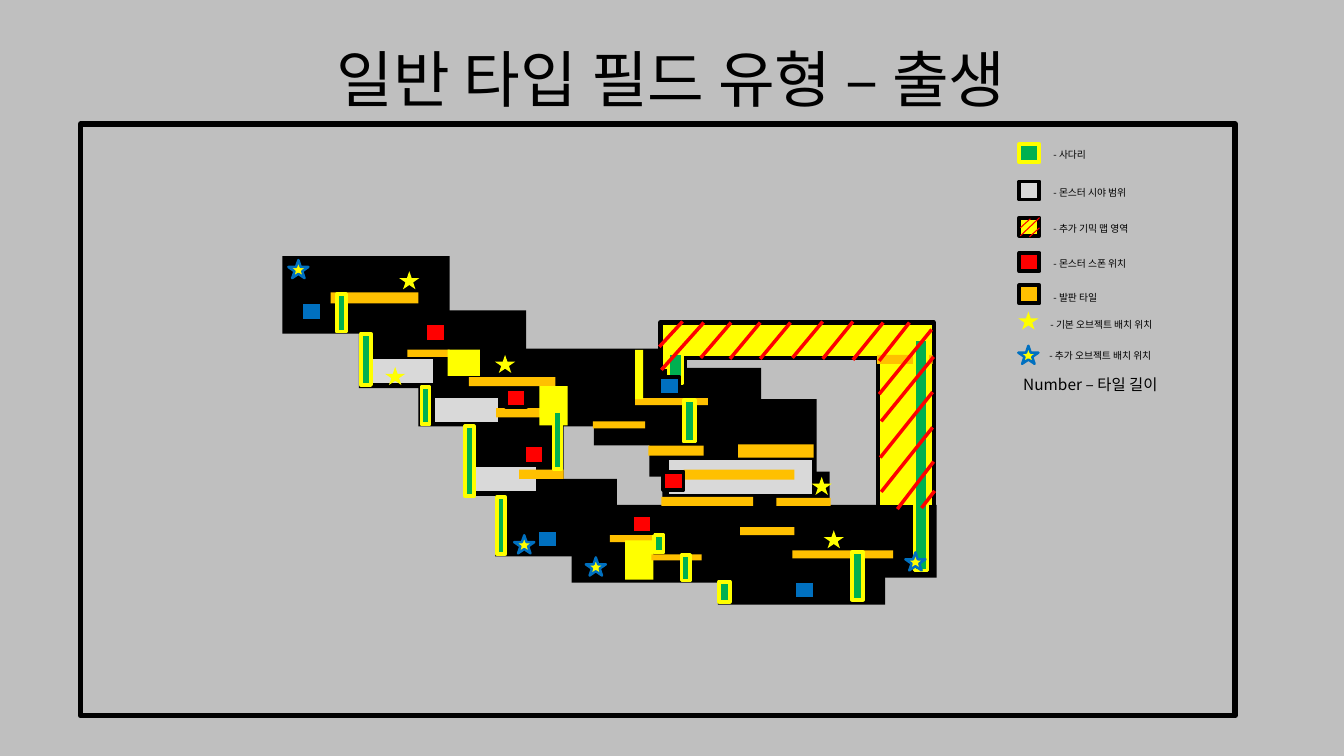
from lxml.etree import SubElement
from pptx import Presentation
from pptx.dml.color import RGBColor
from pptx.enum.shapes import MSO_CONNECTOR, MSO_SHAPE
from pptx.enum.text import MSO_ANCHOR, PP_ALIGN
from pptx.oxml.ns import qn
from pptx.util import Cm, Pt

FONT = "Noto Sans CJK KR"
COLORS = {
    "back": "BFBFBF", "black": "000000", "grey": "D9D9D9", "orange": "FFC000",
    "yellow": "FFFF00", "green": "00B050", "red": "FF0000", "blue": "0070C0",
}
RECT, STAR = MSO_SHAPE.RECTANGLE, MSO_SHAPE.STAR_5_POINT
STYLES = {
    "room": (RECT, "black", None, 0),
    "sight": (RECT, "grey", "black", 2.75),
    "frame": (RECT, None, "black", 4),
    "tile": (RECT, "orange", None, 0),
    "pad": (RECT, "yellow", None, 0),
    "ladder": (RECT, "green", "yellow", 2.75),
    "portal": (RECT, "blue", "black", 2.75),
    "spawn": (RECT, "red", "black", 2.75),
    "gimmick": (RECT, "yellow", "black", 2.75),
    "tile key": (RECT, "orange", "black", 2.75),
    "object": (STAR, "yellow", None, 0),
    "extra object": (STAR, "yellow", "blue", 1.75),
}
MARK = (0.2, 0.18)

TITLE = "일반 타입 필드 유형 – 출생"
NUMBER_NOTE = "Number – 타일 길이"
LEGEND = [
    ("ladder", (10.11, 1.43), (10.35, 1.43), "- 사다리"),
    ("sight", (10.11, 1.8), (10.35, 1.8), "- 몬스터 시야 범위"),
    ("gimmick", (10.11, 2.16), (10.35, 2.16), "- 추가 기믹 맵 영역"),
    ("spawn", (10.11, 2.51), (10.35, 2.51), "- 몬스터 스폰 위치"),
    ("tile key", (10.11, 2.83), (10.35, 2.84), "- 발판 타일"),
    ("object", (10.1, 3.09), (10.32, 3.11), "- 기본 오브젝트 배치 위치"),
    ("extra object", (10.1, 3.43), (10.31, 3.42), "- 추가 오브젝트 배치 위치"),
]
FIELD = [
    ("room", [
        (2.8, 2.54, 1.66, 0.77), (3.56, 3.08, 1.66, 0.77), (4.6, 4.15, 0.99, 0.77),
        (4.15, 3.46, 2.42, 0.77), (5.67, 5.01, 1.66, 0.77), (6.44, 3.96, 1.66, 0.77),
        (6.57, 4.68, 1.66, 0.77), (7.12, 5.23, 1.66, 0.77), (7.63, 5.01, 1.66, 0.72),
        (5.89, 3.65, 1.66, 0.77), (4.91, 4.75, 1.21, 0.77)]),
    ("sight", [(3.65, 3.54, 0.66, 0.28), (4.3, 3.93, 0.66, 0.28),
               (4.68, 4.61, 0.66, 0.28), (6.62, 4.54, 1.45, 0.38)]),
    ("frame", [(0.8, 1.23, 11.45, 5.87)]),
    ("portal", [(2.99, 3), (5.33, 5.26), (7.88, 5.76)]),
    ("tile", [
        (6.43, 4.42, 0.55, 0.1), (6.78, 4.66, 1.1, 0.1), (6.56, 4.93, 0.91, 0.09),
        (7.32, 4.41, 0.75, 0.13), (7.7, 4.94, 0.54, 0.08), (7.34, 5.23, 0.54, 0.08),
        (5.88, 4.18, 0.52, 0.07), (4.92, 4.05, 0.44, 0.09), (5.15, 4.66, 0.44, 0.09),
        (4.04, 3.47, 0.42, 0.07), (4.65, 3.74, 0.86, 0.09), (6.05, 5.31, 0.42, 0.07),
        (7.86, 5.46, 1, 0.08), (3.28, 2.9, 0.87, 0.11), (6.3, 3.95, 0.72, 0.07)]),
    ("pad", [(5.35, 3.83, 0.28, 0.39), (6.2, 5.36, 0.28, 0.39),
             (4.44, 3.47, 0.32, 0.26), (6.3, 3.47, 0.08, 0.49)]),
    ("tile", [(6.46, 5.5, 0.5, 0.06)]),
    ("ladder", [
        (6.78, 3.97, 0.11, 0.41), (8.45, 5.48, 0.11, 0.47), (7.13, 5.77, 0.11, 0.2),
        (6.76, 5.51, 0.08, 0.25), (6.49, 5.31, 0.09, 0.17), (4.93, 4.93, 0.08, 0.57),
        (5.49, 4.08, 0.08, 0.57), (4.61, 4.23, 0.09, 0.69), (4.18, 3.84, 0.08, 0.37),
        (3.58, 3.31, 0.1, 0.51), (3.34, 2.92, 0.09, 0.37)]),
    ("spawn", [(4.22, 3.21), (5.02, 3.86), (5.2, 4.42), (6.27, 5.11), (6.58, 4.68)]),
    ("object", [(8.05, 4.73), (8.17, 5.26), (3.82, 3.64), (3.96, 2.69), (4.91, 3.52)]),
    ("extra object", [(5.81, 5.53), (2.86, 2.58), (5.1, 5.31)]),
]
GIMMICK_AREA = [(6.55, 3.2), (9.26, 3.2), (9.26, 5.03), (8.71, 5.03),
                (8.71, 3.55), (6.79, 3.55), (6.79, 3.68), (6.55, 3.68)]
GIMMICK_PARTS = [
    ("tile", [(8.7, 3.52, 0.55, 0.09)]),
    ("ladder", [(9.07, 3.36, 0.13, 2.3), (6.63, 3.5, 0.14, 0.3)]),
    ("extra object", [(8.98, 5.48)]),
    ("portal", [(6.54, 3.74)]),
]
AREA_HATCH = [
    (6.98, 3.2, 6.56, 3.67), (6.77, 3.19, 6.54, 3.44), (7.54, 3.2, 7.24, 3.56),
    (7.25, 3.2, 6.95, 3.55), (7.84, 3.2, 7.54, 3.56), (8.16, 3.19, 7.86, 3.55),
    (8.46, 3.19, 8.16, 3.56), (8.76, 3.2, 8.46, 3.57), (9.02, 3.2, 8.72, 3.58),
    (9.24, 3.27, 8.72, 3.91), (9.26, 3.54, 8.74, 4.18), (9.25, 3.89, 8.73, 4.54),
    (9.25, 4.24, 8.74, 4.88), (9.26, 4.58, 8.9, 5.05), (9.27, 4.87, 9.14, 5.04),
]
KEY_HATCH = [(10.22, 2.17, 10.12, 2.26), (10.31, 2.26, 10.21, 2.35),
             (10.31, 2.16, 10.12, 2.34)]


def lengths(*inches):
    return [Cm(value * 2.54) for value in inches]


def color(name):
    return RGBColor.from_string(COLORS[name])


def paint(shape, fill, line, width):
    shape.shadow.inherit = False
    for part, name in ((shape.fill, fill), (shape.line.fill, line)):
        if name:
            part.solid()
            part.fore_color.rgb = color(name)
        else:
            part.background()
    if line:
        shape.line.width = Pt(width)


def add_marks(page, style, places):
    preset, fill, line, width = STYLES[style]
    for place in places:
        size = place[2:] or MARK
        shape = page.shapes.add_shape(preset, *lengths(*place[:2], *size))
        paint(shape, fill, line, width)


def add_hatch(page, strokes, width):
    for stroke in strokes:
        line = page.shapes.add_connector(MSO_CONNECTOR.STRAIGHT, *lengths(*stroke))
        line.line.color.rgb = color("red")
        line.line.width = Pt(width)
        SubElement(line._element.spPr, qn("a:effectLst"))


def add_text(page, place, text, size, wrap=True, **layout):
    box = page.shapes.add_textbox(*lengths(*place))
    box.text_frame.word_wrap = wrap
    box.text_frame.vertical_anchor = layout.pop("anchor", MSO_ANCHOR.TOP)
    para = box.text_frame.paragraphs[0]
    for name, value in layout.items():
        setattr(para, name, value)
    span = para.add_run()
    span.text = text
    for name, value in {"name": FONT, "size": Pt(size)}.items():
        setattr(span.font, name, value)
    span.font.color.rgb = color("black")
    SubElement(span.font._element, qn("a:ea"), typeface=FONT)


def main():
    deck = Presentation()
    deck.slide_width, deck.slide_height = lengths(13.33, 7.5)
    page = deck.slides.add_slide(deck.slide_layouts[6])
    page.background.fill.solid()
    page.background.fill.fore_color.rgb = color("back")

    for style, places in FIELD:
        add_marks(page, style, places)
    add_text(page, (0.29, 0.2, 12.74, 1.24), TITLE, 44, anchor=MSO_ANCHOR.MIDDLE,
             alignment=PP_ALIGN.CENTER, line_spacing=0.9)

    corners = [lengths(*corner) for corner in GIMMICK_AREA]
    outline = page.shapes.build_freeform(*corners[0])
    outline.add_line_segments(corners[1:], close=True)
    paint(outline.convert_to_shape(), "yellow", "black", 3)
    for style, places in GIMMICK_PARTS:
        add_marks(page, style, places)
    add_hatch(page, AREA_HATCH, 2.5)

    for style, icon, label, text in LEGEND:
        add_marks(page, style, [icon])
        add_text(page, (*label, 1.61, 0.22), text, 7)
    add_hatch(page, KEY_HATCH, 0.75)
    add_text(page, (10.05, 3.67, 1.63, 0.29), NUMBER_NOTE, 11, wrap=False)
    deck.save("out.pptx")


if __name__ == "__main__":
    main()
